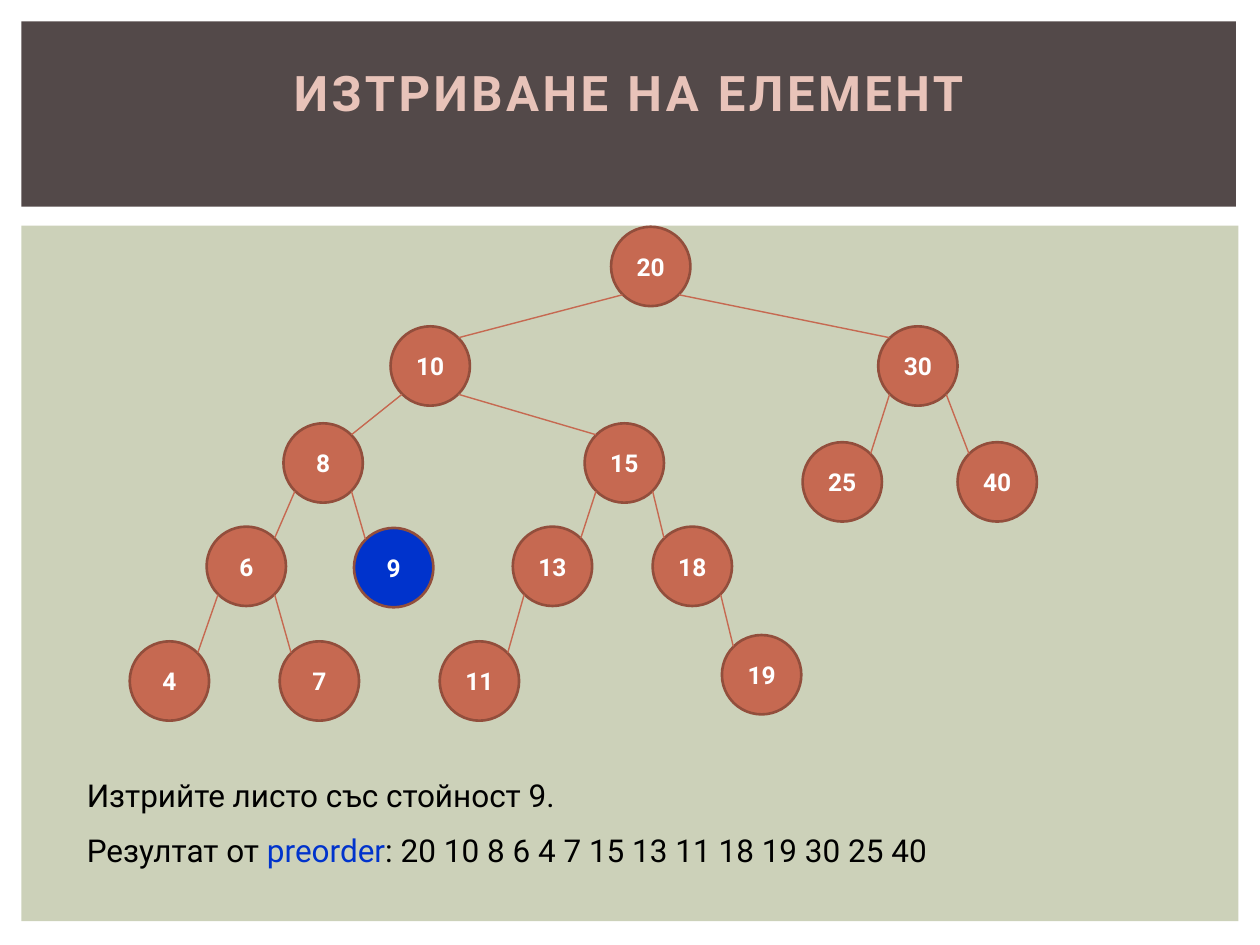
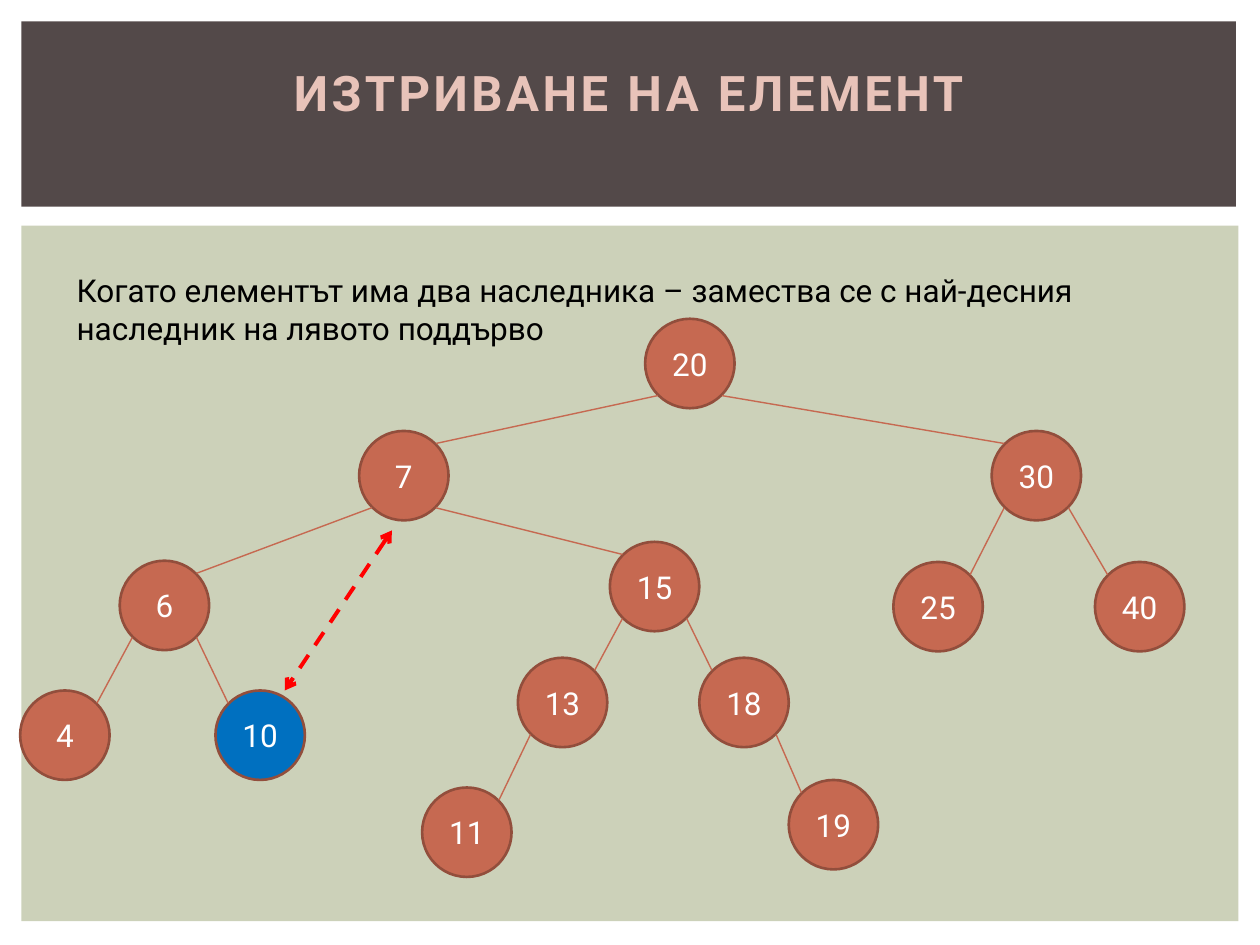
from copy import deepcopy
from dataclasses import dataclass
from math import cos, pi
from typing import Any

from lxml.etree import SubElement
from pptx import Presentation
from pptx.dml.color import RGBColor
from pptx.enum.dml import MSO_LINE
from pptx.enum.shapes import MSO_CONNECTOR, MSO_SHAPE
from pptx.enum.text import MSO_ANCHOR, MSO_AUTO_SIZE, PP_ALIGN
from pptx.oxml.ns import qn
from pptx.util import Pt

PX = 9144  # 100 px to the inch
TITLE_ONLY = 5
TITLE = "ИЗТРИВАНЕ НА ЕЛЕМЕНТ"

COLOURS = {
    "panel": "CCD1B9",
    "band": "534949",
    "title": "E8C3B9",
    "node": "C66951",
    "outline": "924E3C",
    "deleted": "0033CC",
    "swapped": "0070C0",
    "arrow": "FF0000",
    "text": "000000",
    "white": "FFFFFF",
}

TITLE_FONT = {"name": "Roboto", "size": Pt(28), "bold": True}
BODY_FONT = {"name": "Roboto", "size": Pt(18)}
TITLE_FRAME = {"vertical_anchor": MSO_ANCHOR.MIDDLE, "word_wrap": True,
               "auto_size": MSO_AUTO_SIZE.NONE}
NODE_FRAME = {"vertical_anchor": MSO_ANCHOR.MIDDLE, "word_wrap": False,
              "margin_left": 0, "margin_right": 0, "margin_top": 0, "margin_bottom": 0}


@dataclass(frozen=True)
class Box:
    left: int
    top: int
    width: int
    height: int

    def emu(self) -> list[int]:
        return [side * PX for side in (self.left, self.top, self.width, self.height)]


@dataclass(frozen=True)
class Node:
    value: int
    left: int
    top: int
    parent: int | None = None
    fill: str = "node"


@dataclass(frozen=True)
class Tree:
    diameter: int
    font: dict[str, Any]
    nodes: list[Node]


@dataclass(frozen=True)
class Span:
    text: str
    colour: str = "text"


BANDS = [(Box(17, 179, 966, 552), "panel"), (Box(17, 17, 964, 147), "band")]
TITLE_BOX = Box(42, 39, 917, 115)

LEAF_TREE = Tree(63, {"name": "Roboto", "size": Pt(14), "bold": True}, [
    Node(20, 485, 180),
    Node(10, 310, 259, 20),
    Node(30, 697, 259, 20),
    Node(8, 225, 336, 10),
    Node(15, 464, 336, 10),
    Node(25, 637, 351, 30),
    Node(40, 760, 351, 30),
    Node(6, 164, 418, 8),
    Node(9, 281, 419, 8, "deleted"),
    Node(13, 407, 418, 15),
    Node(18, 518, 418, 15),
    Node(4, 103, 509, 6),
    Node(7, 222, 509, 6),
    Node(11, 349, 509, 13),
    Node(19, 573, 504, 18),
])

SWAP_TREE = Tree(71, BODY_FONT, [
    Node(20, 512, 253),
    Node(7, 285, 342, 20),
    Node(30, 787, 342, 20),
    Node(6, 95, 445, 7),
    Node(15, 484, 430, 7),
    Node(25, 709, 446, 30),
    Node(40, 869, 446, 30),
    Node(4, 16, 548, 6),
    Node(10, 171, 548, 6, "swapped"),
    Node(13, 411, 522, 15),
    Node(18, 555, 522, 15),
    Node(11, 335, 625, 13),
    Node(19, 626, 619, 18),
])


def rgb(name: str) -> RGBColor:
    return RGBColor.from_string(COLOURS[name])


def apply(target: Any, values: dict[str, Any]) -> None:
    for name, value in values.items():
        setattr(target, name, value)


def add_run(para: Any, span: Span, font: dict[str, Any]) -> Any:
    run = para.add_run()
    run.text = span.text
    apply(run.font, font)
    run.font.color.rgb = rgb(span.colour)
    return run


def add_filled(page: Any, kind: MSO_SHAPE, box: Box, fill: str) -> Any:
    shape = page.shapes.add_shape(kind, *box.emu())
    shape.shadow.inherit = False
    shape.fill.solid()
    shape.fill.fore_color.rgb = rgb(fill)
    shape.line.fill.background()
    return shape


def add_line(page: Any, start: tuple[int, int], end: tuple[int, int],
             colour: str, width: float) -> Any:
    ends = [length * PX for length in (*start, *end)]
    line = page.shapes.add_connector(MSO_CONNECTOR.STRAIGHT, *ends)
    line.line.color.rgb = rgb(colour)
    line.line.width = Pt(width)
    SubElement(line.element.spPr, qn("a:effectLst"))
    return line


def add_swap_arrow(page: Any, start: tuple[int, int], end: tuple[int, int]) -> None:
    arrow = add_line(page, start, end, "arrow", 2.25)
    arrow.line.dash_style = MSO_LINE.DASH
    outline = arrow.line._get_or_add_ln()
    for tag in ("a:headEnd", "a:tailEnd"):
        SubElement(outline, qn(tag), type="arrow")


def add_node(page: Any, node: Node, tree: Tree) -> None:
    box = Box(node.left, node.top, tree.diameter, tree.diameter)
    circle = add_filled(page, MSO_SHAPE.OVAL, box, node.fill)
    circle.line.color.rgb = rgb("outline")
    circle.line.width = Pt(1.5)
    apply(circle.text_frame, NODE_FRAME)
    para = circle.text_frame.paragraphs[0]
    para.alignment = PP_ALIGN.CENTER
    add_run(para, Span(str(node.value), "white"), tree.font)


def add_edge(page: Any, parent: Node, child: Node, diameter: int) -> None:
    """Join the diagonal points of the two circles that face each other."""
    near = round(diameter * (1 - cos(pi / 4)) / 2)
    far = diameter - near
    out, into = (near, far) if child.left < parent.left else (far, near)
    add_line(page, (parent.left + out, parent.top + far),
             (child.left + into, child.top + near), "node", 0.79)


def add_tree(page: Any, tree: Tree) -> None:
    by_value = {node.value: node for node in tree.nodes}
    for node in tree.nodes:
        add_node(page, node, tree)
        if node.parent is not None:
            add_edge(page, by_value[node.parent], node, tree.diameter)


def add_text(page: Any, box: Box, paras: list[list[Span]]) -> None:
    frame = page.shapes.add_textbox(*box.emu()).text_frame
    frame.word_wrap = True
    for index, spans in enumerate(paras):
        para = frame.add_paragraph() if index else frame.paragraphs[0]
        if index:
            para.space_before = Pt(10)
        for span in spans:
            add_run(para, span, BODY_FONT)


def add_page(deck: Any) -> Any:
    page = deck.slides.add_slide(deck.slide_layouts[TITLE_ONLY])
    title = page.shapes.title
    apply(title, dict(zip(("left", "top", "width", "height"), TITLE_BOX.emu())))
    apply(title.text_frame, TITLE_FRAME)
    para = title.text_frame.paragraphs[0]
    para.alignment = PP_ALIGN.CENTER
    run = add_run(para, Span(TITLE, "title"), TITLE_FONT)
    style = run.font._element
    style.set("spc", "200")
    # The empty second line keeps the size of the first
    para.add_line_break()
    para._p[-1].append(deepcopy(style))
    ending = SubElement(para._p, qn("a:endParaRPr"), dict(style.attrib))
    ending.extend(deepcopy(child) for child in style)
    # Bands lie behind the title
    for box, fill in BANDS:
        band = add_filled(page, MSO_SHAPE.RECTANGLE, box, fill)
        title.element.addprevious(band.element)
    return page


def main() -> None:
    deck = Presentation()
    deck.slide_width, deck.slide_height = 1000 * PX, 750 * PX

    # Deleting a leaf
    page = add_page(deck)
    add_tree(page, LEAF_TREE)
    add_text(page, Box(59, 611, 898, 85), [
        [Span("Изтрийте листо със стойност 9.")],
        [Span("Резултат от "), Span("preorder", "deleted"),
         Span(": 20 10 8 6 4 7 15 13 11 18 19 30 25 40")],
    ])

    # Deleting an element with two children
    page = add_page(deck)
    add_text(page, Box(51, 210, 890, 71), [[Span(
        "Когато елементът има два наследника – замества се с най-десния "
        "наследник на лявото поддърво")]])
    add_tree(page, SWAP_TREE)
    add_swap_arrow(page, (311, 421), (226, 548))

    deck.save("out.pptx")


if __name__ == "__main__":
    main()
